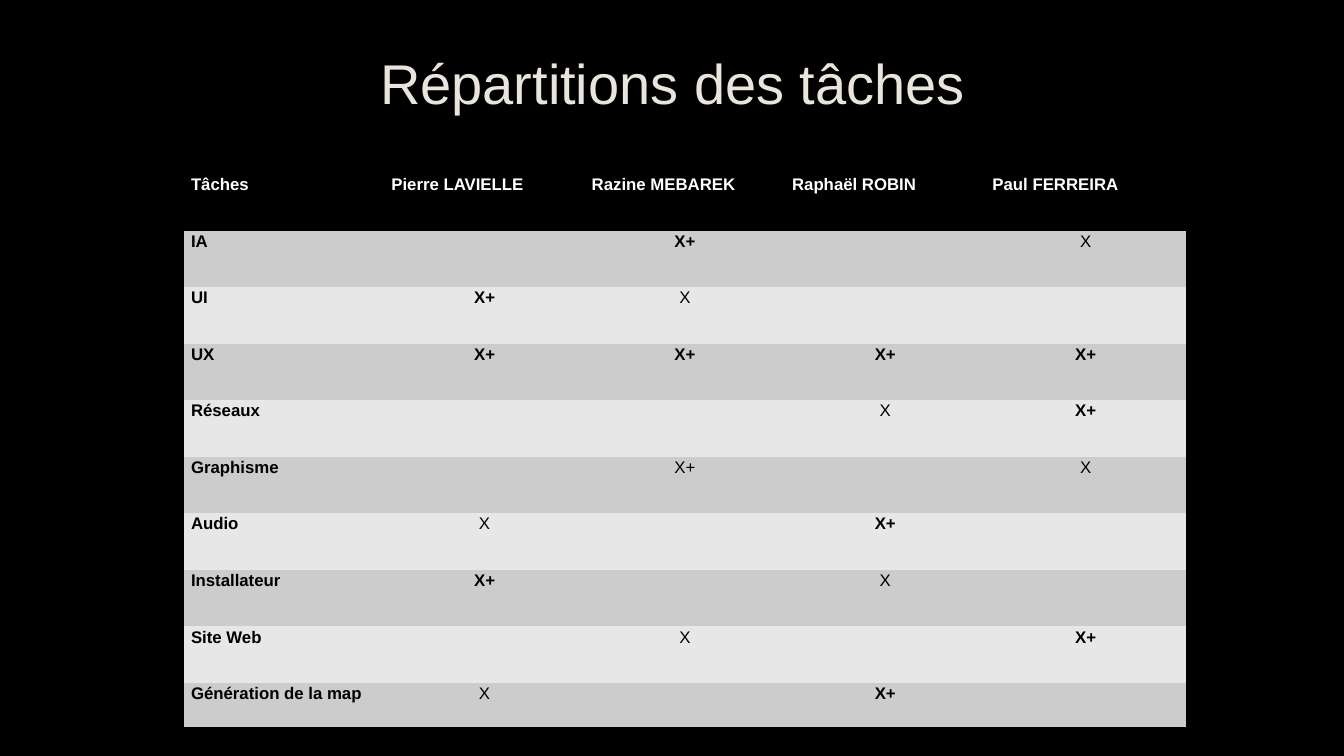
from dataclasses import dataclass

from pptx import Presentation
from pptx.dml.color import RGBColor
from pptx.enum.text import MSO_ANCHOR as Anchor, PP_ALIGN as Align
from pptx.util import Emu, Pt

EMU_PER_PX = 914400 / 100.8
NO_GRID_STYLE = "{2D5ABB26-0587-4C30-8999-92F81FD0307C}"


@dataclass(frozen=True)
class Theme:
    font: str = "Arial"
    title_size: int = 40
    table_size: int = 12
    background: str = "000000"
    title: str = "E9E5DC"
    header_text: str = "FFFFFF"
    body_text: str = "000000"
    bands: tuple = ("CCCCCC", "E7E7E7")


HELP, LEAD, LIGHT_LEAD, NONE = ("X", False), ("X+", True), ("X+", False), ("", False)
HEADERS = ["Tâches", "Pierre LAVIELLE", "Razine MEBAREK", "Raphaël ROBIN", "Paul FERREIRA"]
TASKS = [
    ("IA", NONE, LEAD, NONE, HELP),
    ("UI", LEAD, HELP, NONE, NONE),
    ("UX", LEAD, LEAD, LEAD, LEAD),
    ("Réseaux", NONE, NONE, HELP, LEAD),
    ("Graphisme", NONE, LIGHT_LEAD, NONE, HELP),
    ("Audio", HELP, NONE, LEAD, NONE),
    ("Installateur", LEAD, NONE, HELP, NONE),
    ("Site Web", NONE, HELP, NONE, LEAD),
    ("Génération de la map", HELP, NONE, LEAD, NONE),
]


def px(length):
    return Emu(round(length * EMU_PER_PX))


def write(frame, text, *, font, size, color, bold=False, align=Align.LEFT,
          line_spacing=None, space_after=None):
    para = frame.paragraphs[0]
    para.alignment = align
    para.line_spacing = line_spacing
    para.space_after = space_after
    para.font.size = Pt(size)
    if text:
        span = para.add_run()
        span.text = text
        span.font.name = font
        span.font.size = Pt(size)
        span.font.bold = bold
        span.font.color.rgb = RGBColor.from_string(color)


class SlideBuilder:
    def __init__(self, deck, theme):
        self.theme = theme
        self.page = deck.slides.add_slide(deck.slide_layouts[6])
        fill = self.page.background.fill
        fill.solid()
        fill.fore_color.rgb = RGBColor.from_string(theme.background)

    def title(self, text, left, top, width, height):
        box = self.page.shapes.add_textbox(px(left), px(top), px(width), px(height))
        frame = box.text_frame
        frame.word_wrap = True
        frame.vertical_anchor = Anchor.MIDDLE
        write(frame, text, font=self.theme.font, size=self.theme.title_size,
              color=self.theme.title, align=Align.CENTER)

    def cell(self, cell, text, *, fill, color, bold, align):
        cell.fill.solid()
        cell.fill.fore_color.rgb = RGBColor.from_string(fill)
        cell.margin_left = cell.margin_right = px(7)
        cell.margin_top = cell.margin_bottom = 0
        write(cell.text_frame, text, font=self.theme.font, size=self.theme.table_size,
              color=color, bold=bold, align=align, line_spacing=1.07, space_after=Pt(8))

    def task_table(self, headers, tasks, left, top, width, height, last_height):
        """Draw the grid with equal rows, except for a shorter last one."""
        theme = self.theme
        graphic = self.page.shapes.add_table(
            len(tasks) + 1, len(headers), px(left), px(top), px(width), px(height))
        table = graphic.table
        table.first_row = table.horz_banding = False
        graphic._element.graphic.graphicData.tbl.tblPr[0].text = NO_GRID_STYLE
        for column in table.columns:
            column.width = px(width / len(headers))
        for row in table.rows:
            row.height = px((height - last_height) / len(tasks))
        table.rows[len(tasks)].height = px(last_height)

        for c, name in enumerate(headers):
            self.cell(table.cell(0, c), name, fill=theme.background,
                      color=theme.header_text, bold=True, align=Align.JUSTIFY)
        for r, (task, *marks) in enumerate(tasks, start=1):
            fill = theme.bands[(r - 1) % 2]
            self.cell(table.cell(r, 0), task, fill=fill, color=theme.body_text,
                      bold=True, align=Align.JUSTIFY)
            for c, (mark, bold) in enumerate(marks, start=1):
                self.cell(table.cell(r, c), mark, fill=fill, color=theme.body_text,
                          bold=bold, align=Align.CENTER)


def main():
    deck = Presentation()
    deck.slide_width, deck.slide_height = px(1344), px(756)
    builder = SlideBuilder(deck, Theme())
    builder.title("Répartitions des tâches", 102, 29, 1141, 107)
    builder.task_table(HEADERS, TASKS, 184, 174, 1002, 553, last_height=44)
    deck.save("out.pptx")


if __name__ == "__main__":
    main()
